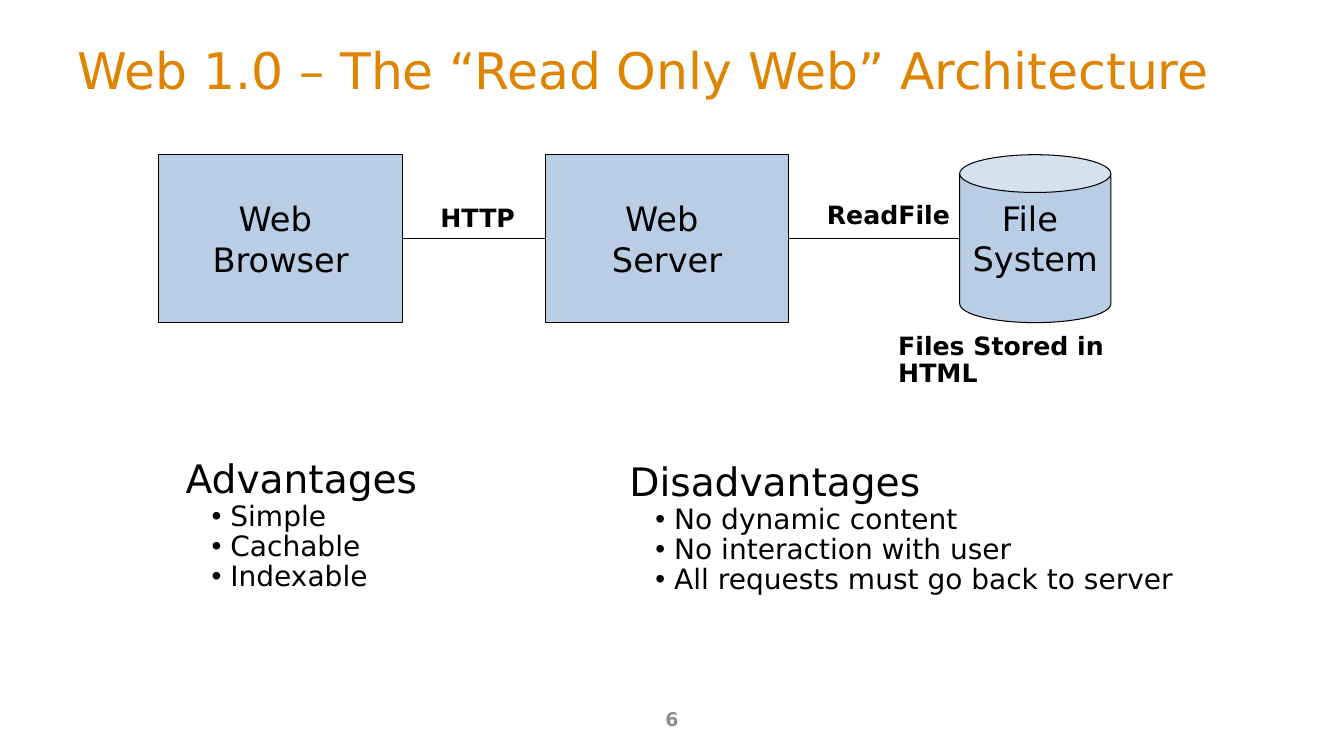
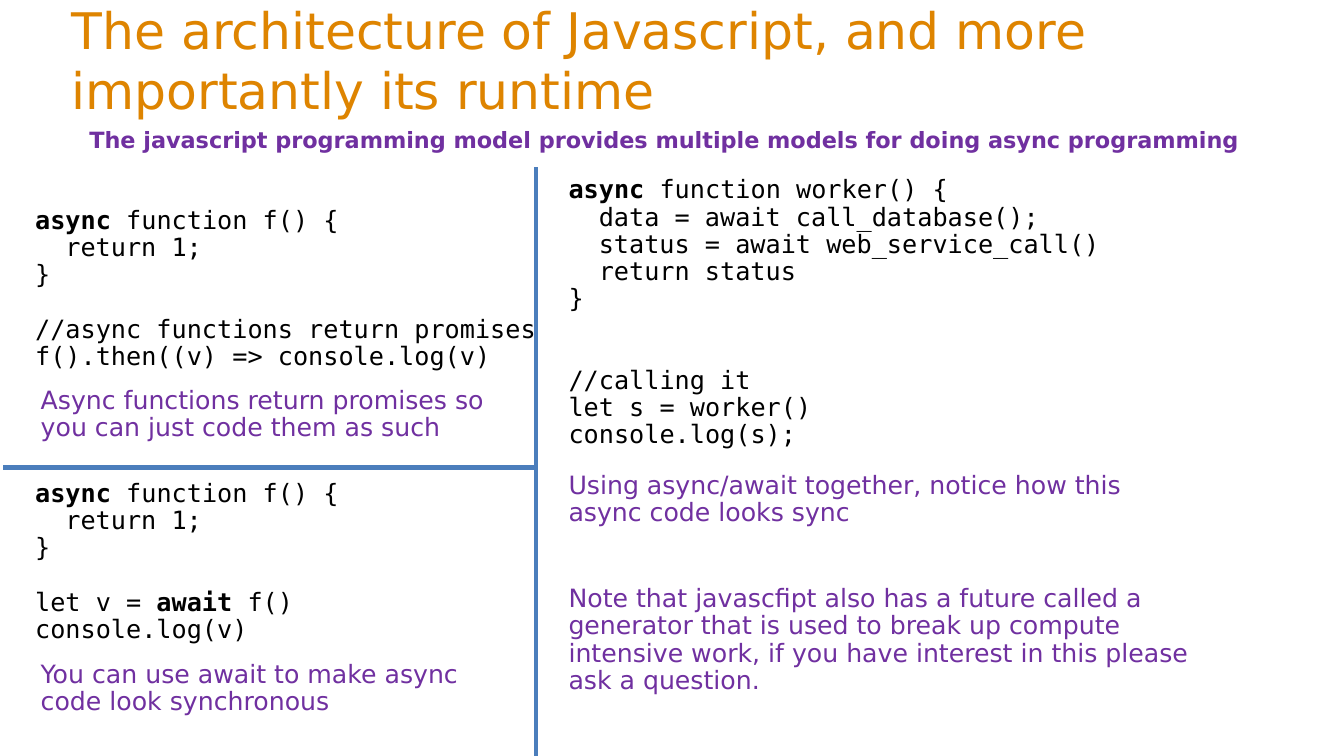
from lxml.etree import SubElement
from pptx import Presentation
from pptx.dml.color import RGBColor
from pptx.enum.shapes import MSO_CONNECTOR as Link, MSO_SHAPE as Shape
from pptx.enum.text import MSO_ANCHOR as Anchor, MSO_AUTO_SIZE as Fit, PP_ALIGN as Align
from pptx.oxml.ns import qn
from pptx.util import Pt

ORANGE = RGBColor(0xDE, 0x84, 0x00)
PURPLE = RGBColor(0x70, 0x30, 0xA0)
BLACK = RGBColor(0, 0, 0)
GREY = RGBColor(0x8C, 0x8C, 0x8C)
PALE = RGBColor(0xB9, 0xCD, 0xE5)
BLUE = RGBColor(0x4B, 0x7E, 0xBC)
SANS = "DejaVu Sans"
MONO = "DejaVu Sans Mono"
ROW = 19.4


def write(frame, lines, size=18, color=BLACK, font=SANS, bold=False,
          align=Align.LEFT, lead=0.9, bullet=None):
    """Add lines; ** marks bold, an empty line a gap, leading spaces an indent."""
    gap = 0
    for line in lines:
        if not line:
            gap += ROW
            continue
        used = frame.paragraphs[-1].runs
        para = frame.add_paragraph() if used else frame.paragraphs[0]
        para.alignment, para.line_spacing = align, lead
        para.space_before, gap = Pt(gap), 0
        body = line.lstrip()
        props = para._p.get_or_add_pPr()
        depth = (len(line) - len(body)) * size * 0.6
        if bullet:
            depth = 32
            props.set("indent", str(Pt(-13.5)))
            SubElement(props, qn("a:buFont")).set("typeface", "Arial")
            SubElement(props, qn("a:buChar")).set("char", bullet)
        props.set("marL", str(Pt(depth)))
        for i, part in enumerate(body.split("**")):
            if part:
                run = para.add_run()
                run.text = part
                run.font.name, run.font.size = font, Pt(size)
                run.font.bold = bold or i % 2 == 1
                run.font.color.rgb = color


class Deck:
    """Holds the style and the current slide."""

    def __init__(self):
        """Start an empty wide deck."""
        self.file = Presentation()
        self.file.slide_width, self.file.slide_height = Pt(960), Pt(540)

    def page(self, title, left, top, width):
        """Start a slide with a title."""
        self.slide = self.file.slides.add_slide(self.file.slide_layouts[5])
        head = self.slide.shapes.title
        head.left, head.top, head.width, head.height = map(Pt, (left, top, width, 55))
        frame = head.text_frame
        frame.auto_size, frame.word_wrap = Fit.NONE, True
        frame.vertical_anchor = Anchor.MIDDLE
        write(frame, [title], size=36, color=ORANGE, lead=1)

    def text(self, lines, left, top, width, height, anchor=Anchor.TOP, **style):
        """Add a text box and return its frame."""
        box = self.slide.shapes.add_textbox(*map(Pt, (left, top, width, height)))
        frame = box.text_frame
        frame.word_wrap, frame.vertical_anchor = True, anchor
        write(frame, lines, **style)
        return frame

    def code(self, lines, left, top, width, height):
        """Add a code block."""
        self.text(lines, left, top, width, height, font=MONO)

    def note(self, line, left, top, width, height):
        """Add a purple remark."""
        self.text([line], left, top, width, height, color=PURPLE)

    def points(self, head, items, left, top, width):
        """Add a heading with bullets."""
        frame = self.text([head], left, top, width, 103, size=28)
        write(frame, items, size=20, bullet="•")

    def node(self, kind, lines, left, width, anchor=Anchor.MIDDLE):
        """Add a labelled block to the diagram row."""
        block = self.slide.shapes.add_shape(kind, *map(Pt, (left, 110.5, width, 120)))
        block.shadow.inherit = False
        block.fill.solid()
        block.fill.fore_color.rgb = PALE
        block.line.color.rgb, block.line.width = BLACK, Pt(0.75)
        frame = block.text_frame
        frame.word_wrap, frame.vertical_anchor = False, anchor
        write(frame, lines, size=24, align=Align.CENTER, lead=1)
        return block

    def rule(self, x1, y1, x2, y2, color=BLUE, width=3):
        """Add a straight line."""
        line = self.slide.shapes.add_connector(
            Link.STRAIGHT, *map(Pt, (x1, y1, x2, y2)))
        line.line.color.rgb, line.line.width = color, Pt(width)
        SubElement(line._element.spPr, qn("a:effectLst"))
        return line


def web(deck):
    """Draw the slide on Web 1.0."""
    deck.page("Web 1.0 – The “Read Only Web” Architecture", 48, 22, 864)
    deck.text(["6"], 328, 500, 304, 29, anchor=Anchor.MIDDLE, size=13.5,
              color=GREY, bold=True, align=Align.CENTER)
    client = deck.node(Shape.RECTANGLE, ["Web ", "Browser"], 113.5, 174)
    server = deck.node(Shape.RECTANGLE, ["Web ", "Server"], 389.5, 174)
    deck.node(Shape.CAN, ["File ", "System"], 685.5, 108, Anchor.TOP)
    wire = deck.rule(287.5, 170.5, 389.5, 170.5, BLACK, 0.75)
    wire.begin_connect(client, 3)
    wire.end_connect(server, 1)
    deck.rule(563.5, 170.5, 685.5, 170.5, BLACK, 0.75).begin_connect(server, 3)
    for label, left, top, width in (("HTTP", 307.5, 143.5, 76),
                                    ("ReadFile", 583.5, 141.5, 112),
                                    ("Files Stored in HTML", 634.5, 235, 190)):
        deck.text([label], left, top, width, 27, bold=True)
    deck.points("Advantages", ["Simple", "Cachable", "Indexable"], 125.5, 325, 190)
    deck.points("Disadvantages", ["No dynamic content", "No interaction with user",
                                  "All requests must go back to server"],
                442.5, 327, 420)


def script(deck):
    """Draw the slide on the Javascript runtime."""
    deck.page("The architecture of Javascript, and more importantly its runtime",
              44, 15, 861)
    deck.text(["The javascript programming model provides multiple models "
               "for doing async programming"], 4.5, 89, 940, 42,
              size=16, color=PURPLE, bold=True, align=Align.CENTER)
    basic = ["**async** function f() {", "  return 1;", "}", ""]
    deck.code(basic + ["//async functions return promises",
                       "f().then((v) => console.log(v)"], 18, 144.75, 381, 125)
    deck.code(basic + ["let v = **await** f()", "console.log(v)"], 18, 339.75, 381, 125)
    deck.code(["**async** function worker() {", "  data = await call_database();",
               "  status = await web_service_call()", "  return status", "}", "", "",
               "//calling it", "let s = worker()", "console.log(s);"],
              399, 123, 574, 204)
    deck.note("Async functions return promises so you can just code them as such",
              22, 273.5, 361, 47)
    deck.note("You can use await to make async code look synchronous",
              22, 469, 361, 47)
    deck.note("Using async/await together, notice how this async code looks sync",
              399, 334, 466, 47)
    deck.note("Note that javascfipt also has a future called a generator that is used "
              "to break up compute intensive work, if you have interest in this "
              "please ask a question.", 399, 415, 466, 86)
    deck.rule(383, 119.5, 383, 540)
    deck.rule(383, 334, 2, 334)


def main():
    """Build and save the deck."""
    deck = Deck()
    web(deck)
    script(deck)
    deck.file.save("out.pptx")


if __name__ == "__main__":
    main()
